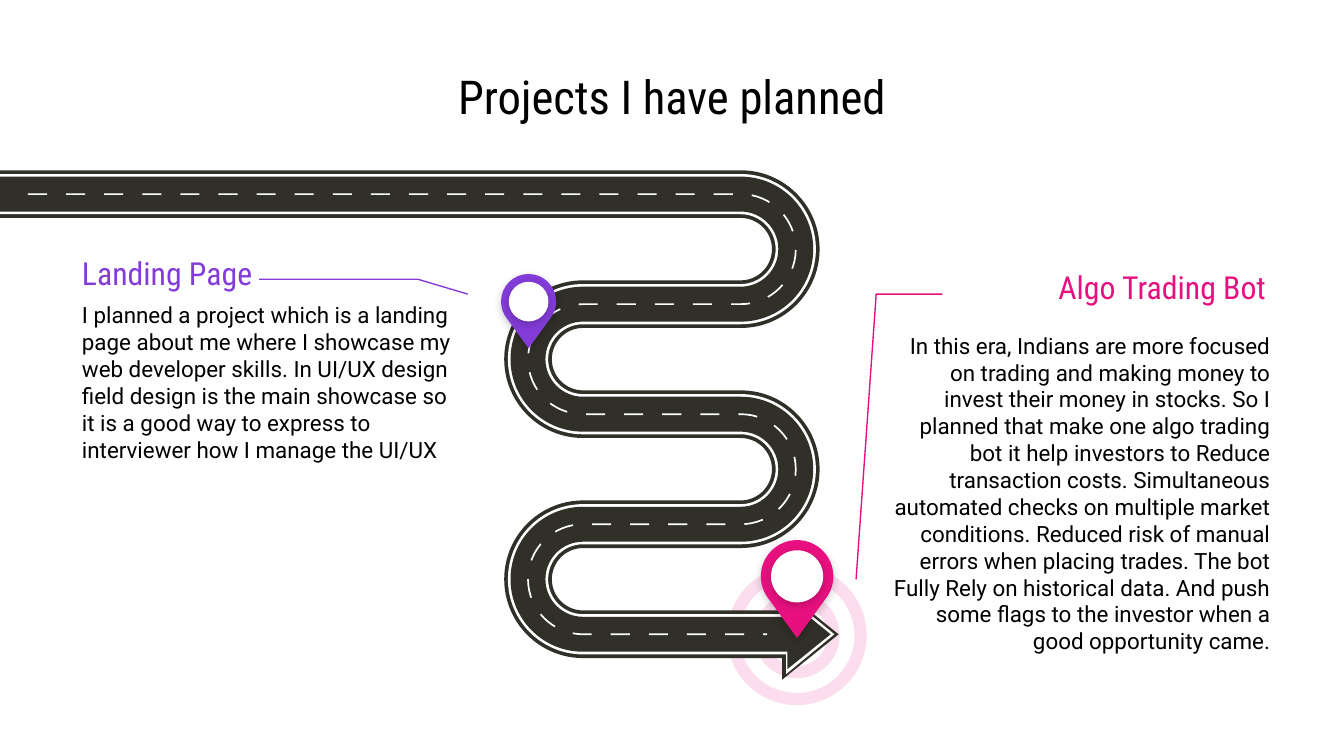
import math

from lxml import etree
from pptx import Presentation, util as u
from pptx.dml.color import RGBColor
from pptx.enum import shapes as sh, text as tx
from pptx.oxml import ns

COLORS = {"asphalt": "302F28", "white": "FFFFFF", "black": "000000",
          "purple": "833CD8", "pink": "E81080"}
CONDENSED, BODY = "Roboto Condensed", "Roboto"
LEFT, CENTER, RIGHT = tx.PP_ALIGN.LEFT, tx.PP_ALIGN.CENTER, tx.PP_ALIGN.RIGHT

# Road geometry in cm, relative to the left end of its first centre line
LANE_GAP, TURN_RADIUS = 2.08, 1.04
TURN_RIGHT, TURN_LEFT = 14.0, 11.02
# colour, half width, arrow base x, arrow tip x, arrow half height
ROAD_LAYERS = [("asphalt", 0.45, 14.78, 15.85, 0.86),
               ("white", 0.38, 14.86, 15.77, 0.75),
               ("asphalt", 0.33, 14.88, 15.70, 0.66)]


def rgb(name):
    return RGBColor.from_string(COLORS[name])


def add_child(parent, tag, **attributes):
    return etree.SubElement(parent, ns.qn(tag), attributes)


def paint(shape, color):
    shape.shadow.inherit = False
    shape.fill.solid()
    shape.fill.fore_color.rgb = rgb(color)
    shape.line.fill.background()
    return shape


def outline(shape, color, width):
    shape.shadow.inherit = False
    shape.fill.background()
    shape.line.color.rgb = rgb(color)
    shape.line.width = u.Pt(width)
    return shape


def add_path(slide, left, top, points, close):
    """Join (x, y) points in cm; a pair of (x, y, True) points steers a curve."""
    corners = [(u.Cm(left + p[0]), u.Cm(top + p[1])) for p in points]
    builder = slide.shapes.build_freeform(*corners[0])
    builder.add_line_segments(corners[1:], close=close)
    shape = builder.convert_to_shape()
    segments = shape._element.spPr.findall(".//" + ns.qn("a:lnTo"))
    steers = []
    for segment, point in zip(segments, points[1:]):
        if len(point) == 3:
            steers.append(segment)
        elif steers:
            segment.tag = ns.qn("a:cubicBezTo")
            for place, steer in enumerate(steers):
                segment.insert(place, steer[0])
                steer.getparent().remove(steer)
            steers = []
    return shape


def add_preset(slide, kind, left, top, size, color):
    shape = slide.shapes.add_shape(kind, u.Cm(left), u.Cm(top), u.Cm(size), u.Cm(size))
    return paint(shape, color)


def add_text(slide, box, words, font, size, color, align):
    frame = slide.shapes.add_textbox(*map(u.Cm, box)).text_frame
    frame.word_wrap = True
    frame.vertical_anchor = tx.MSO_ANCHOR.MIDDLE
    frame.margin_left = frame.margin_right = u.Cm(0.25)
    frame.margin_top = frame.margin_bottom = u.Cm(0.25)
    frame.text = words
    paragraph = frame.paragraphs[0]
    paragraph.alignment = align
    style = paragraph.runs[0].font
    style.name, style.size = font, u.Pt(size)
    style.color.rgb = rgb(color)


def arc(cx, cy, radius, *degrees):
    """Points of a circular arc, with one curve between neighbouring angles."""
    def on_circle(angle):
        return cx + radius * math.cos(angle), cy + radius * math.sin(angle)

    angles = [math.radians(d) for d in degrees]
    points = [on_circle(angles[0])]
    for start, end in zip(angles, angles[1:]):
        reach = 4 / 3 * math.tan((end - start) / 4)
        for angle, pull in ((start, reach), (end, -reach)):
            x, y = on_circle(angle)
            points.append((x - pull * (y - cy), y + pull * (x - cx), True))
        points.append(on_circle(end))
    return points


def road_edge(start, end, offset):
    """Points along the winding road, shifted to the left of travel by offset."""
    points = [(start, -offset)]
    for turn in range(4):
        cy = (turn + 0.5) * LANE_GAP
        if turn % 2 == 0:
            points += arc(TURN_RIGHT, cy, TURN_RADIUS + offset, -90, 0, 90)
        else:
            points += arc(TURN_LEFT, cy, TURN_RADIUS - offset, -90, -180, -270)
    return points + [(end, 4 * LANE_GAP - offset)]


def add_road(slide, left, top):
    last_lane = 4 * LANE_GAP
    for color, half, base, tip, head in ROAD_LAYERS:
        arrow = [(base, last_lane - head), (tip, last_lane), (base, last_lane + head)]
        border = road_edge(0, base, half) + arrow + road_edge(0, base, -half)[::-1]
        paint(add_path(slide, left, top, border, True), color)

    lane_marks = add_path(slide, left, top, road_edge(0.53, 14.5, 0), False)
    outline(lane_marks, "white", 0.9)
    dashes = add_child(lane_marks.line._get_or_add_ln(), "a:custDash")
    add_child(dashes, "a:ds", d="1125000", sp="1125000")


def add_target(slide, cx, cy):
    ring_width = 0.23
    for diameter in (0.46, 1.62, 2.64):
        solid = diameter == 2 * ring_width
        kind = sh.MSO_SHAPE.OVAL if solid else sh.MSO_SHAPE.DONUT
        ring = add_preset(slide, kind, cx - diameter / 2, cy - diameter / 2, diameter, "pink")
        if not solid:
            ring.adjustments[0] = ring_width / diameter
        tint = ring._element.spPr.find(".//" + ns.qn("a:srgbClr"))
        add_child(tint, "a:alpha", val="14000")


def add_soft_shadow(shape):
    effects = shape._element.spPr.find(ns.qn("a:effectLst"))
    shadow = add_child(effects, "a:outerShdw", blurRad=str(u.Pt(4.5)), dist=str(u.Pt(1.5)),
                       dir="5400000", algn="bl", rotWithShape="0")
    tint = add_child(shadow, "a:srgbClr", val=COLORS["black"])
    add_child(tint, "a:alpha", val="20000")


def add_pin(slide, left, top, width, color):
    radius, hole = width / 2, 0.72 * width
    drop = arc(radius, radius, radius, 141, 180, 270, 360, 399) + [(radius, 1.35 * width)]
    margin = (width - hole) / 2
    add_soft_shadow(paint(add_path(slide, left, top, drop, True), color))
    add_soft_shadow(add_preset(slide, sh.MSO_SHAPE.OVAL, left + margin, top + margin,
                               hole, "white"))


def add_project(slide, left, top, heading, heading_box, body, body_box, leader, color, align):
    """Place heading, body and leader line; their boxes count from left, top."""
    for words, (x, y, w, h), font, size, ink in (
            (body, body_box, BODY, 12, "black"),
            (heading, heading_box, CONDENSED, 17, color)):
        add_text(slide, (left + x, top + y, w, h), words, font, size, ink, align)
    outline(add_path(slide, left, top, leader, False), color, 0.75)


def main():
    deck = Presentation()
    deck.slide_width, deck.slide_height = u.Cm(25.4), u.Cm(14.29)
    slide = deck.slides.add_slide(deck.slide_layouts[6])

    add_target(slide, 15.06, 12.01)
    add_road(slide, 0, 3.67)
    add_text(slide, (1.27, 1.14, 22.86, 1.35), "Projects I have planned",
             CONDENSED, 25, "black", CENTER)
    add_pin(slide, 14.38, 10.21, 1.37, "pink")
    add_pin(slide, 9.47, 5.18, 1.04, "purple")

    add_project(
        slide, 16.18, 4.93, "Algo Trading Bot", (1.83, 0, 6.17, 0.99),
        "In this era, Indians are more focused on trading and making money to invest "
        "their money in stocks. So I planned that make one algo trading bot it help "
        "investors to Reduce transaction costs. Simultaneous automated checks on "
        "multiple market conditions. Reduced risk of manual errors when placing trades. "
        "The bot Fully Rely on historical data. And push some flags to the investor "
        "when a good opportunity came.",
        (0.41, 0.81, 7.67, 7.16), [(1.63, 0.63), (0.38, 0.63), (0, 6.02)], "pink", RIGHT)
    add_project(
        slide, 1.3, 4.67, "Landing Page", (0, 0, 5.77, 0.99),
        "I planned a project which is a landing page about me where I showcase my web "
        "developer skills. In UI/UX design field design is the main showcase so it is "
        "a good way to express to interviewer how I manage the UI/UX",
        (0, 0.46, 7.52, 4.19), [(3.6, 0.61), (6.6, 0.61), (7.54, 0.89)], "purple", LEFT)

    deck.save("out.pptx")


if __name__ == "__main__":
    main()
